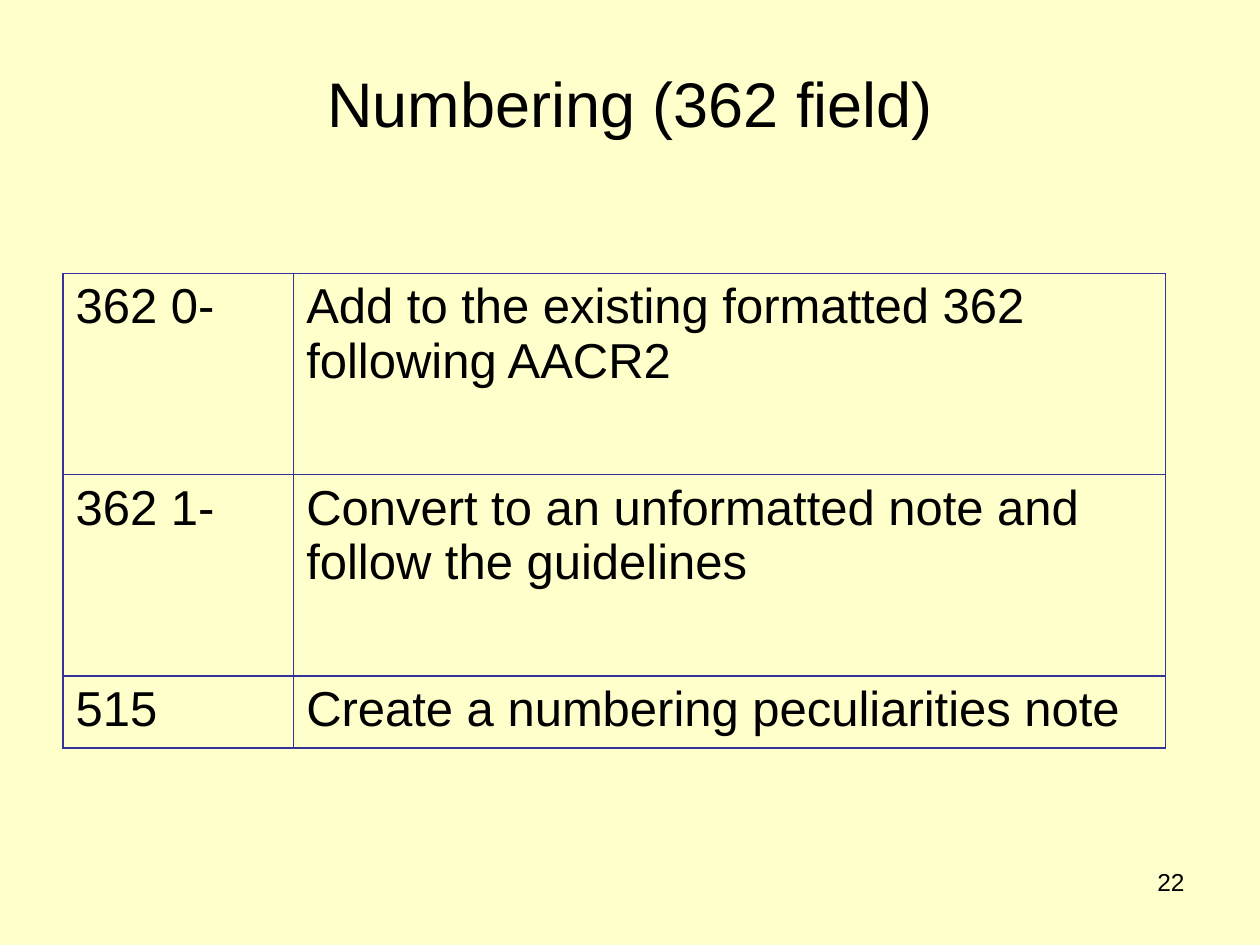
from lxml.etree import SubElement
from pptx import Presentation
from pptx.dml.color import RGBColor
from pptx.enum.text import MSO_ANCHOR as Anchor, PP_ALIGN as Align
from pptx.oxml.ns import qn
from pptx.util import Cm, Pt

COLORS = {"background": "FFFFCC", "text": "000000", "border": "333399"}


def write(frame, text, size, align):
    frame.word_wrap = True
    paragraph = frame.paragraphs[0]
    paragraph.text = text
    paragraph.alignment = align
    font_format = {"name": "Arial", "size": Pt(size), "bold": False}
    for key, value in font_format.items():
        setattr(paragraph.font, key, value)
    paragraph.font.color.rgb = RGBColor.from_string(COLORS["text"])


def draw_borders(cell):
    properties = cell._tc.get_or_add_tcPr()
    for side in ("lnL", "lnR", "lnT", "lnB"):
        line = SubElement(properties, qn(f"a:{side}"), w=str(Pt(0.75)))
        fill = SubElement(line, qn("a:solidFill"))
        SubElement(fill, qn("a:srgbClr"), val=COLORS["border"])


prs = Presentation()
prs.slide_width, prs.slide_height = Cm(25.4), Cm(19.05)
slide = prs.slides.add_slide(prs.slide_layouts[6])
slide.background.fill.solid()
slide.background.fill.fore_color.rgb = RGBColor.from_string(COLORS["background"])

title = slide.shapes.add_textbox(Cm(1.27), Cm(0.76), Cm(22.86), Cm(2.62))
title.text_frame.vertical_anchor = Anchor.MIDDLE
write(title.text_frame, "Numbering (362 field)", 36, Align.CENTER)

rules = [
    ("362 0-", "Add to the existing formatted 362 following AACR2"),
    ("362 1-", "Convert to an unformatted note and follow the guidelines"),
    ("515", "Create a numbering peculiarities note"),
]
column_widths = [4.65, 17.57]
row_heights = [4.06, 4.06, 1.45]

field_table = slide.shapes.add_table(
    len(rules), len(column_widths), Cm(1.27), Cm(5.51),
    Cm(sum(column_widths)), Cm(sum(row_heights)),
).table
for flag in ("first_row", "horz_banding"):
    setattr(field_table, flag, False)
for column, width in zip(field_table.columns, column_widths):
    column.width = Cm(width)
for row, height, texts in zip(field_table.rows, row_heights, rules):
    row.height = Cm(height)
    for cell, text in zip(row.cells, texts):
        write(cell.text_frame, text, 28, Align.LEFT)
        draw_borders(cell)
        cell.fill.background()

page_number = slide.shapes.add_textbox(Cm(18.21), Cm(17.35), Cm(5.92), Cm(1.32))
write(page_number.text_frame, "22", 14, Align.RIGHT)

prs.save("out.pptx")
